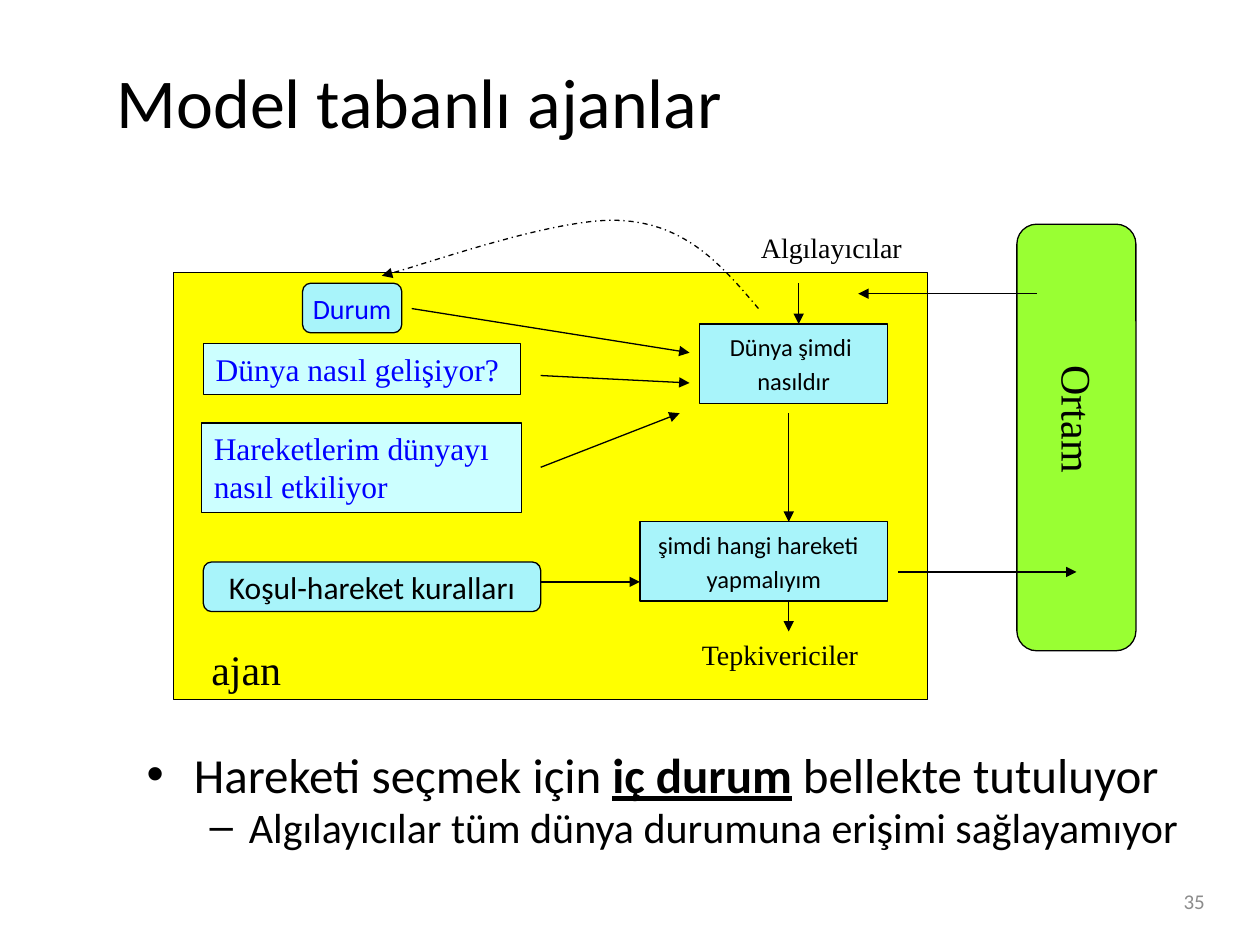
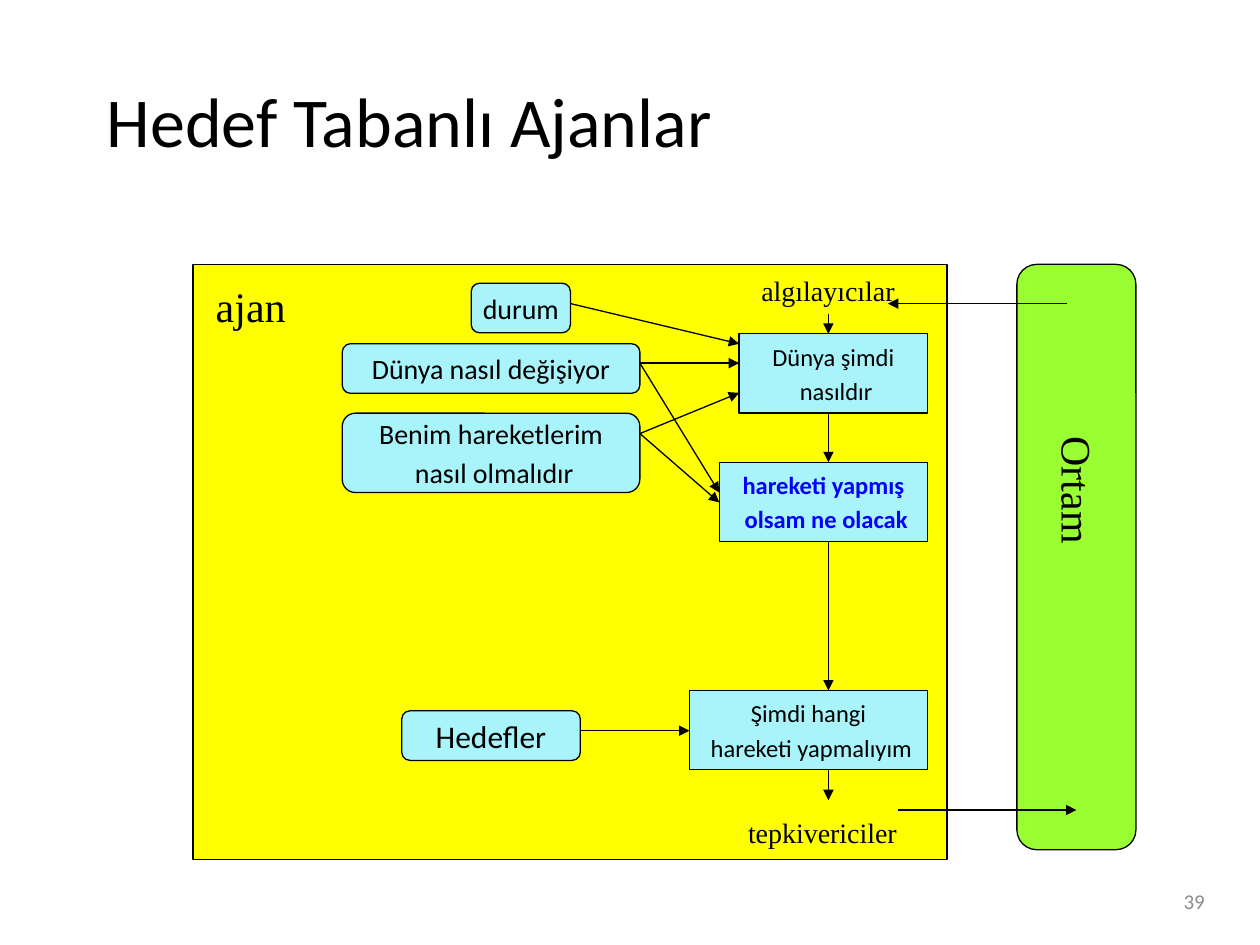
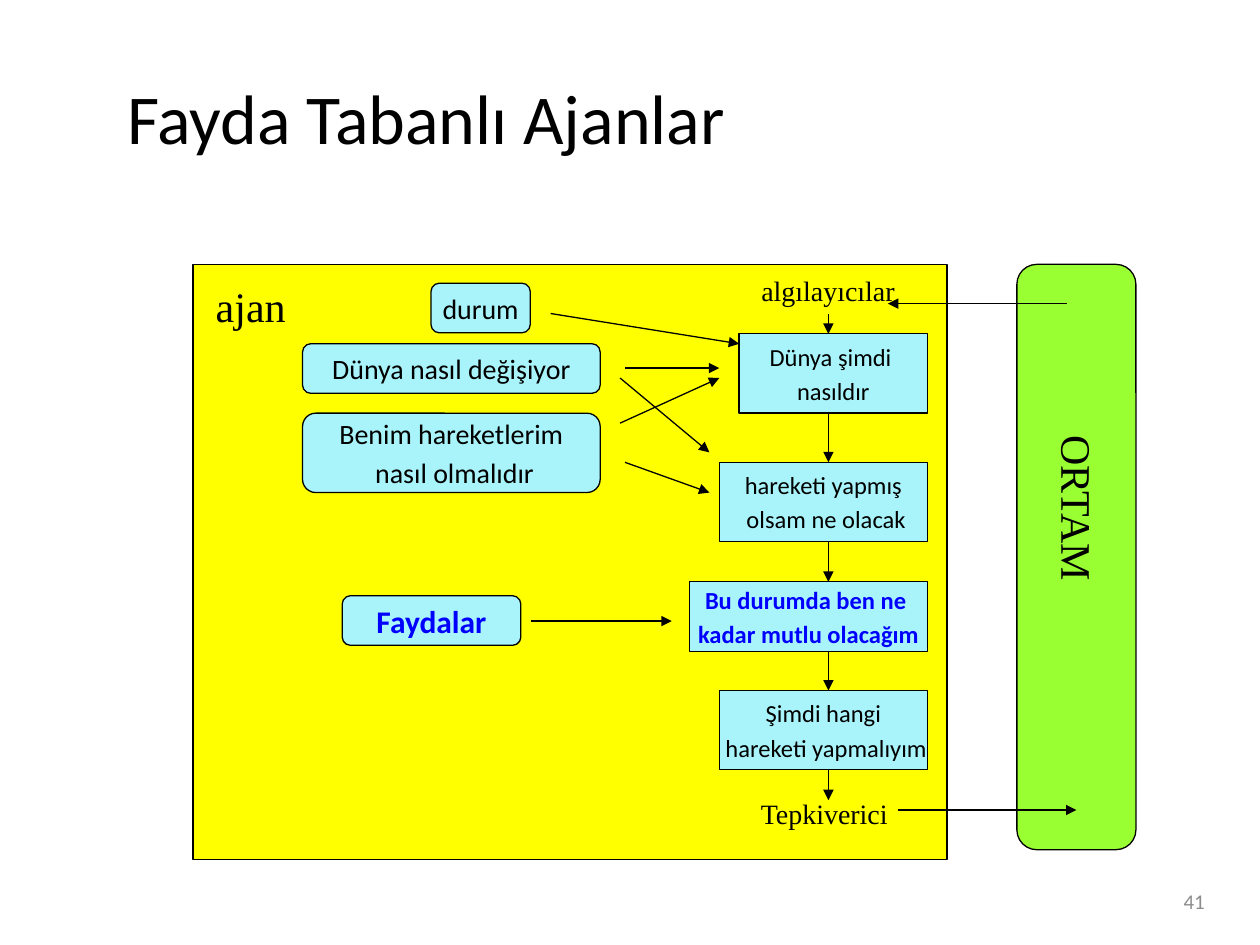
import dataclasses
from typing import Any

import lxml.etree
import pptx
import pptx.dml.color
import pptx.enum.dml
import pptx.enum.shapes
import pptx.enum.text
import pptx.oxml.ns
import pptx.util

Cm = pptx.util.Cm
Pt = pptx.util.Pt
KIND = pptx.enum.shapes.MSO_SHAPE
ALIGN = pptx.enum.text.PP_ALIGN
ANCHOR = pptx.enum.text.MSO_ANCHOR
FIT = pptx.enum.text.MSO_AUTO_SIZE

BLACK, BLUE, GRAY = "000000", "0000FF", "8C8C8C"
YELLOW, GREEN, AQUA, PALE = "FFFF00", "99FF33", "A8F4FA", "CCFFFF"
SANS, SERIF = "Calibri", "Times New Roman"


@dataclasses.dataclass
class Box:
    """A filled shape with centred lines of text; lengths in cm."""
    x: float
    y: float
    w: float
    h: float
    text: str = ""
    size: float = 14
    tint: str = BLACK
    bold: bool = False
    fill: str = AQUA
    round: bool = False


@dataclasses.dataclass
class Label:
    """A serif text without a frame, or a note when it has a fill."""
    x: float
    y: float
    w: float
    text: str
    size: float = 16
    h: float = 0.94
    wrap: bool = False
    turn: float = 0
    fill: str = ""
    tint: str = BLACK


@dataclasses.dataclass
class Arrow:
    """A straight arrow from (x, y) to (u, v)."""
    x: float
    y: float
    u: float
    v: float


def paint(code: str) -> pptx.dml.color.RGBColor:
    """Turn a hex string into a colour."""
    return pptx.dml.color.RGBColor.from_string(code)


def put(thing: Any, form: dict) -> None:
    """Set each format value on an object."""
    for key, value in form.items():
        setattr(thing, key, value)


def style(run: Any, size: float, tint: str = BLACK, face: str = SANS, **more: Any) -> None:
    """Format the font of a run."""
    put(run.font, {"size": Pt(size), "name": face, **more})
    run.font.color.rgb = paint(tint)


def place(shape: Any, x: float, y: float, w: float, h: float) -> None:
    """Move and size a shape, in cm."""
    put(shape, {"left": Cm(x), "top": Cm(y), "width": Cm(w), "height": Cm(h)})


def write(shape: Any, text: str, frame: dict, align: Any, **font: Any) -> None:
    """Write each line of text as a paragraph."""
    put(shape.text_frame, frame)
    for i, line in enumerate(text.split("\n")):
        para = shape.text_frame.paragraphs[0] if i == 0 else shape.text_frame.add_paragraph()
        put(para, {"alignment": align, "space_before": Pt(0.2 * font["size"] if i else 0)})
        run = para.add_run()
        run.text = line
        style(run, **font)


def edge(shape: Any) -> None:
    """Give a shape the thin black line."""
    shape.line.color.rgb = paint(BLACK)
    shape.line.width = Pt(0.75)


def block(slide: Any, kind: Any, spot: tuple, fill: str) -> Any:
    """Add a flat shape with a fill and a thin line."""
    shape = slide.shapes.add_shape(kind, *map(Cm, spot))
    shape.shadow.inherit = False
    shape.fill.solid()
    shape.fill.fore_color.rgb = paint(fill)
    edge(shape)
    return shape


def tip(shape: Any) -> None:
    """Put a triangle at the end of a line."""
    name = pptx.oxml.ns.qn("a:tailEnd")
    lxml.etree.SubElement(shape.line.get_or_add_ln() if hasattr(shape.line, "get_or_add_ln")
                          else shape.get_or_add_ln(), name, type="triangle")


def draw_box(slide: Any, box: Box) -> None:
    """Draw a box with its text."""
    kind = KIND.ROUNDED_RECTANGLE if box.round else KIND.RECTANGLE
    shape = block(slide, kind, (box.x, box.y, box.w, box.h), box.fill)
    if box.text:
        write(shape, box.text, {"word_wrap": False, "vertical_anchor": ANCHOR.MIDDLE},
              ALIGN.CENTER, size=box.size, tint=box.tint, bold=box.bold)


def draw_label(slide: Any, label: Label) -> None:
    """Draw a label or a note."""
    spot = (label.x, label.y, label.w, label.h)
    if label.fill:
        shape = block(slide, KIND.RECTANGLE, spot, label.fill)
    else:
        shape = slide.shapes.add_textbox(*map(Cm, spot))
    shape.rotation = label.turn
    write(shape, label.text, {"word_wrap": label.wrap, "vertical_anchor": ANCHOR.TOP},
          ALIGN.LEFT, size=label.size, tint=label.tint, face=SERIF)


def draw_arrow(slide: Any, arrow: Arrow) -> None:
    """Draw a straight arrow."""
    ends = map(Cm, (arrow.x, arrow.y, arrow.u, arrow.v))
    line = slide.shapes.add_connector(pptx.enum.shapes.MSO_CONNECTOR.STRAIGHT, *ends)
    edge(line)
    tip(line)
    lxml.etree.SubElement(line._element.spPr, pptx.oxml.ns.qn("a:effectLst"))


def draw_curve(slide: Any, knots: list, steps: int = 20) -> None:
    """Draw a dashed arrow along joined cubic curves."""
    dots = []
    for k in range(0, len(knots) - 1, 3):
        for i in range(steps + 1):
            t = i / steps
            parts = ((1 - t) ** 3, 3 * t * (1 - t) ** 2, 3 * t * t * (1 - t), t ** 3)
            dots.append(tuple(Cm(sum(p * knot[axis] for p, knot in zip(parts, knots[k:k + 4])))
                              for axis in (0, 1)))
    pen = slide.shapes.build_freeform(*dots[0])
    pen.add_line_segments(dots[1:], close=False)
    curve = pen.convert_to_shape()
    curve.shadow.inherit = False
    curve.fill.background()
    edge(curve)
    curve.line.dash_style = pptx.enum.dml.MSO_LINE.DASH_DOT
    tip(curve)


DRAW = {Box: draw_box, Label: draw_label, Arrow: draw_arrow}


def draw(slide: Any, items: list) -> None:
    """Draw items from back to front."""
    for item in items:
        DRAW[type(item)](slide, item)


def start(deck: Any, plan: int, title: str, spot: tuple, page: int) -> Any:
    """Add a slide with its title and page number."""
    slide = deck.slides.add_slide(deck.slide_layouts[plan])
    place(slide.shapes.title, *spot)
    frame = {"vertical_anchor": ANCHOR.MIDDLE, "auto_size": FIT.NONE}
    write(slide.shapes.title, title, frame, ALIGN.LEFT, size=40)
    foot = slide.shapes.add_textbox(*map(Cm, (18.62, 17.65, 5.92, 1.02)))
    write(foot, str(page), {**frame, "word_wrap": True}, ALIGN.RIGHT, size=12, tint=GRAY)
    return slide


def fill_body(slide: Any) -> None:
    """Write the two-level list under the model."""
    body = slide.placeholders[1]
    place(body, 2.7, 15.11, 21.4, 3)
    body.text_frame.auto_size = FIT.NONE
    strong = {"bold": True, "underline": True}
    rows = [
        (28, [("Hareketi seçmek için ", {}), ("iç durum", strong), (" bellekte tutuluyor", {})]),
        (24, [("Algılayıcılar tüm dünya durumuna erişimi sağlayamıyor", {})]),
    ]
    for level, (size, runs) in enumerate(rows):
        para = body.text_frame.add_paragraph() if level else body.text_frame.paragraphs[0]
        put(para, {"level": level, "line_spacing": 0.8})
        for text, form in runs:
            run = para.add_run()
            run.text = text
            style(run, size, **form)


def stage(top: float, left: float, tall: float, deep: float, env: float) -> list:
    """Return the agent area and the outer world."""
    return [Box(left, top, 15.2, tall, fill=YELLOW),
            Box(20.5, env, 2.4, deep, fill=GREEN, round=True)]


def drop(x: float, *ends: tuple) -> list:
    """Return arrows that go straight down at x."""
    return [Arrow(x, top, x, low) for top, low in ends]


def frame_set(left: float) -> list:
    """Return what the goal and utility models share."""
    return stage(5.33, 3.89, 12, 11.8, 5.33) + [
        Label(4.1, 5.54, 1.93, "ajan", 24, 1.27),
        Label(15.1, 5.38, 3.23, "algılayıcılar"),
        Box(left, 6.93, 6, 1, "Dünya nasıl değişiyor", 16, round=True),
        Box(left, 8.33, 6, 1.6, "Benim hareketlerim\n nasıl olmalıdır", 16, round=True),
        Arrow(21.5, 6.12, 17.9, 6.12),
        Arrow(18.1, 16.33, 21.7, 16.33),
    ] + drop(16.7, (6.32, 6.73), (8.33, 9.32), (15.52, 16.13))


def main() -> None:
    """Build the three slides and save them."""
    deck = pptx.Presentation()
    put(deck, {"slide_width": Cm(25.4), "slide_height": Cm(19.05)})

    model = start(deck, 1, "Model tabanlı ajanlar", (2.1, 0.53, 21.6, 3), 35)
    fill_body(model)
    draw(model, stage(5.5, 3.5, 8.6, 8.6, 4.52) + [
        Box(6.1, 5.71, 2, 1, "Durum", 16, BLUE, round=True),
        Label(20.4, 7.82, 2.67, "Ortam", 24, 1.27, turn=90),
        Label(4.01, 12.85, 1.93, "ajan", 24, 1.27),
        Label(15.09, 4.52, 3.78, "Algılayıcılar", wrap=True),
        Label(13.9, 12.73, 3.99, "Tepkivericiler", wrap=True),
        Box(14.1, 6.53, 3.8, 1.6, "Dünya şimdi \nnasıldır"),
        Box(12.9, 10.52, 5, 1.6, "şimdi hangi hareketi  \nyapmalıyım"),
        Box(4.1, 11.33, 6.8, 1, "Koşul-hareket kuralları", 18, round=True),
        Label(4.1, 6.93, 6.4, "Dünya nasıl gelişiyor?", 18, 1.02, True, fill=PALE, tint=BLUE),
        Label(4.06, 8.53, 6.45, "Hareketlerim dünyayı nasıl etkiliyor", 18, 1.8, True,
              fill=PALE, tint=BLUE),
        Arrow(10.9, 11.73, 12.9, 11.73),
        Arrow(20.9, 5.92, 17.3, 5.92),
        Arrow(18.1, 11.53, 21.7, 11.53),
        Arrow(8.3, 6.22, 13.9, 7.11),
        Arrow(10.9, 7.57, 13.9, 7.72),
        Arrow(10.9, 9.42, 13.7, 8.33),
    ] + drop(16.1, (5.71, 6.53)) + drop(15.9, (8.33, 10.52), (12.12, 12.73)))
    draw_curve(model, [(15.29, 6.22), (14.58, 5.38), (13.87, 4.55), (12.6, 4.45),
                       (11.33, 4.32), (8.51, 5.36), (7.7, 5.56)])

    goal = start(deck, 5, "Hedef Tabanlı Ajanlar", (1.9, 0.91, 21.6, 3), 39)
    draw(goal, frame_set(6.9) + [
        Box(9.5, 5.71, 2, 1, "durum", 16, round=True),
        Label(20.4, 9.25, 2.67, "Ortam", 24, 1.27, turn=90),
        Label(14.83, 16.31, 3.81, "tepkivericiler", wrap=True),
        Box(14.9, 6.73, 3.8, 1.6, "Dünya şimdi\n nasıldır"),
        Box(14.5, 9.32, 4.2, 1.6, "hareketi yapmış\n olsam ne olacak", 14, BLUE, True),
        Box(13.9, 13.92, 4.8, 1.6, "Şimdi hangi\n hareketi yapmalıyım"),
        Box(8.1, 14.33, 3.6, 1, "Hedefler", 18, round=True),
        Arrow(11.7, 14.73, 13.9, 14.73),
        Arrow(11.5, 6.12, 14.9, 6.93),
        Arrow(12.9, 7.32, 14.9, 7.32),
        Arrow(12.9, 8.74, 14.9, 7.92),
        Arrow(12.9, 7.32, 14.5, 9.93),
        Arrow(12.9, 8.74, 14.5, 10.13),
    ] + drop(16.7, (10.92, 13.92)))

    gain = start(deck, 5, "Fayda Tabanlı Ajanlar", (2.31, 0.74, 23.09, 3.2), 41)
    draw(gain, frame_set(6.1) + [
        Box(8.69, 5.71, 2, 1, "durum", 16, round=True),
        Label(19.94, 9.68, 3.58, "ORTAM", 24, 1.27, turn=90),
        Label(15.09, 15.93, 3.12, "Tepkiverici"),
        Box(14.9, 6.73, 3.8, 1.6, "Dünya şimdi \nnasıldır"),
        Box(14.5, 9.32, 4.2, 1.6, "hareketi yapmış\n olsam ne olacak"),
        Box(13.9, 11.73, 4.8, 1.4, "Bu durumda ben ne \nkadar mutlu olacağım", 14, BLUE, True),
        Box(14.5, 13.92, 4.2, 1.6, "Şimdi hangi\n hareketi yapmalıyım"),
        Box(6.9, 12.01, 3.6, 1, "Faydalar", 18, BLUE, True, round=True),
        Arrow(10.7, 12.52, 13.54, 12.52),
        Arrow(11.1, 6.32, 14.9, 6.93),
        Arrow(12.6, 7.42, 14.5, 7.42),
        Arrow(12.5, 8.53, 14.5, 7.62),
        Arrow(12.5, 7.62, 14.3, 9.12),
        Arrow(12.6, 9.32, 14.3, 9.93),
    ] + drop(16.7, (10.92, 11.73), (13.13, 13.92)))

    deck.save("out.pptx")


main()
